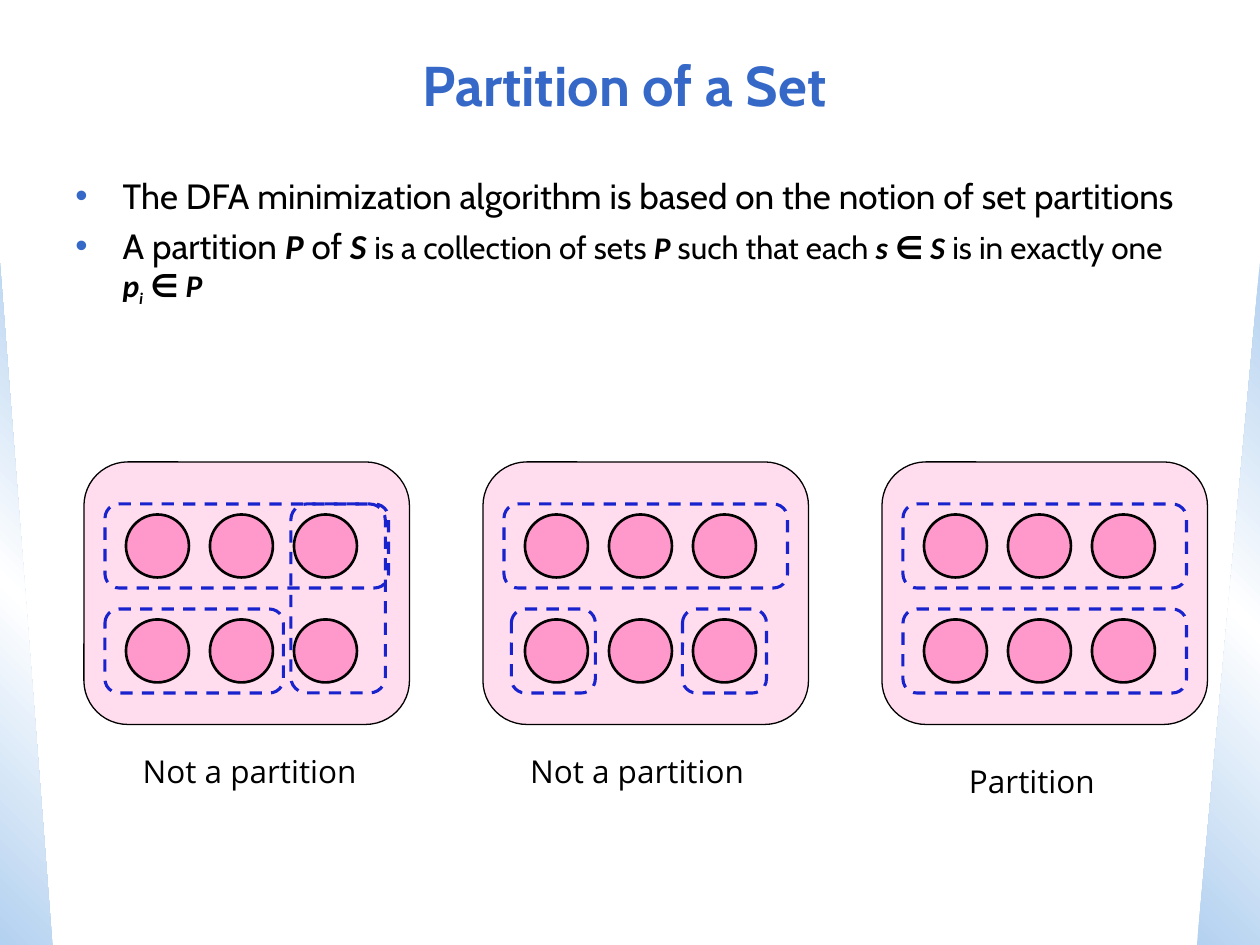
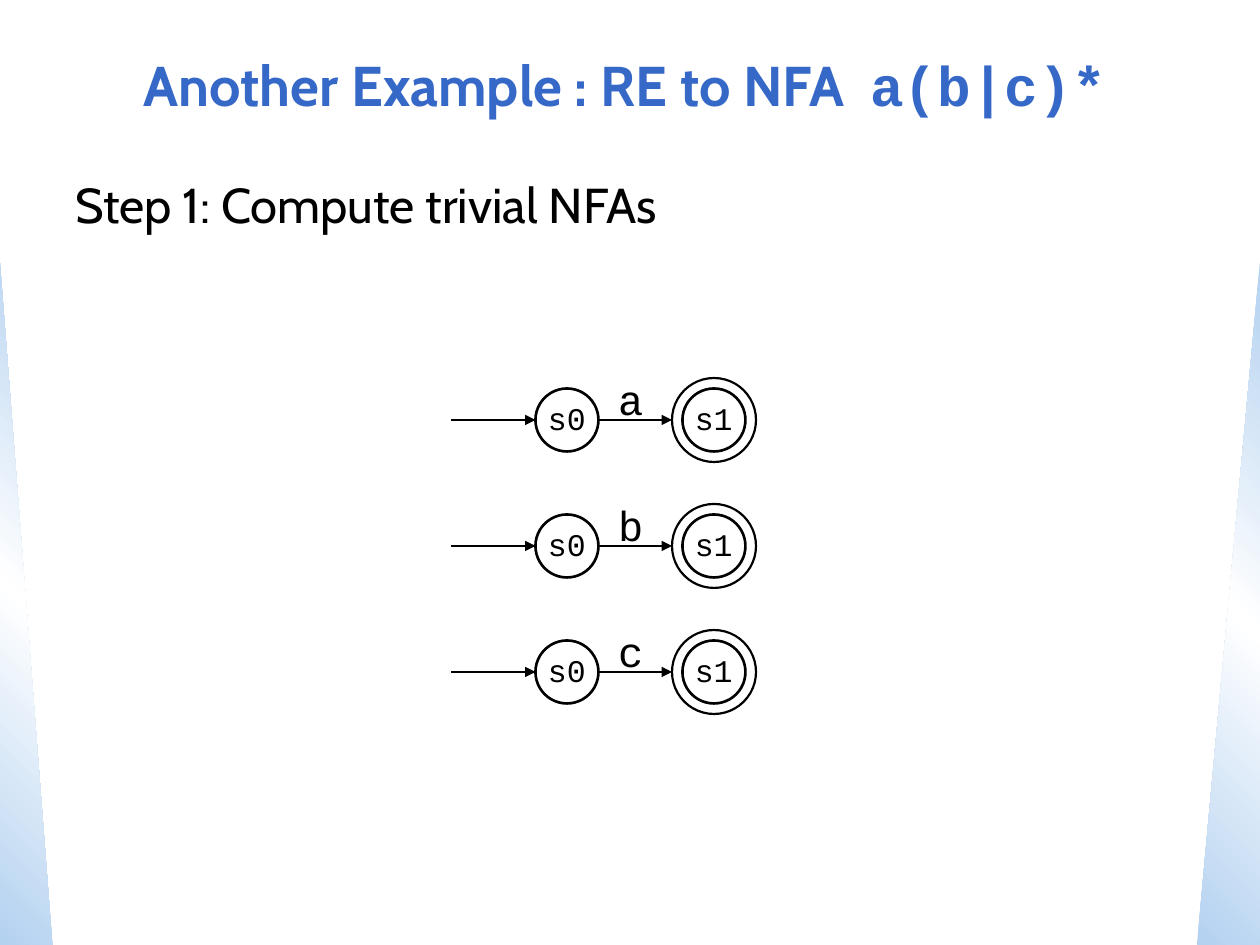
"""Build two slides on set partitions and trivial NFAs."""
from copy import deepcopy

from lxml.etree import SubElement
from pptx import Presentation
from pptx.dml.color import RGBColor
from pptx.enum.dml import MSO_LINE
from pptx.enum.shapes import MSO_CONNECTOR, MSO_SHAPE
from pptx.enum.text import MSO_ANCHOR, MSO_AUTO_SIZE, PP_ALIGN
from pptx.oxml.ns import qn
from pptx.util import Pt

PX = 7620
BLUE, INK, PINK, DASH = "3568C7", "000000", "FF99CC", "1822CD"
SKY, WHITE = "B3D1F0", "FFFFFF"

TITLE = {"name": "Cabin", "size": Pt(32), "bold": True, "color": BLUE}
CODE = {"name": "Courier New", "size": Pt(18)}
LABEL = {"name": "Open Sans", "size": Pt(18)}
BODY = {"name": "Cabin", "size": Pt(20)}
SMALL = {**BODY, "size": Pt(18)}
MATH = {"name": "Calibri", "size": Pt(20), "bold": True, "italic": True}
TERM = {**MATH, "size": Pt(18)}
SUB = {**MATH, "size": Pt(16), "base": -25000}

POINTS = [
    [("The DFA minimization algorithm is based on the notion of set partitions", BODY)],
    [("A partition ", BODY), ("P", MATH), (" of ", BODY), ("S ", MATH),
     ("is a collection of sets ", SMALL), ("P", TERM), (" such that each ", SMALL),
     ("s ∈ S ", TERM), ("is in exactly one ", SMALL), ("p", TERM), ("i", SUB),
     (" ∈ P", TERM)],
]
WIDE = (20, 40, 270, 80)
CARDS = [
    [WIDE, (20, 140, 170, 80), (197, 40, 90, 180)],
    [WIDE, (27, 140, 80, 80), (190, 140, 80, 80)],
    [WIDE, (20, 140, 270, 80)],
]
NOTES = [("Not a partition", 124, 710, 229), ("Not a partition", 493, 710, 229),
         ("Partition", 911, 720, 145)]


def paint(text):
    """Turn a hex string into a colour."""
    return RGBColor.from_string(text)


def scale(*sizes):
    """Turn px into EMU."""
    return [size * PX for size in sizes]


def put_shape(slide, kind, box, fill=None, line=None, width=1, dash=None):
    """Add a preset shape with a fill and a line."""
    shape = slide.shapes.add_shape(kind, *scale(*box))
    shape.shadow.inherit = False
    if fill:
        shape.fill.solid()
        shape.fill.fore_color.rgb = paint(fill)
    else:
        shape.fill.background()
    if line:
        shape.line.color.rgb = paint(line)
        shape.line.width = Pt(width)
        shape.line.dash_style = dash
    else:
        shape.line.fill.background()
    return shape


def put_round(slide, box, **look):
    """Add a rounded box with the shared corner."""
    shape = put_shape(slide, MSO_SHAPE.ROUNDED_RECTANGLE, box, **look)
    shape.adjustments[0] = 0.167
    return shape


def put_disc(slide, box, fill=None, width=1.5):
    """Add a circle with a black line."""
    put_shape(slide, MSO_SHAPE.OVAL, box, fill, INK, width)


def put_runs(para, runs):
    """Write styled runs into a paragraph."""
    for text, style in runs:
        run = para.add_run()
        run.text = text
        look = {"color": INK, **style}
        run.font.color.rgb = paint(look.pop("color"))
        base = look.pop("base", None)
        for key, value in look.items():
            setattr(run.font, key, value)
        if base:
            run._r.get_or_add_rPr().set("baseline", str(base))


def put_text(slide, box, paras, wrap=True, **look):
    """Add a text box holding paragraphs of runs."""
    frame = slide.shapes.add_textbox(*scale(*box)).text_frame
    frame.word_wrap = wrap
    for key, value in look.items():
        setattr(frame, key, value)
    for i, runs in enumerate(paras):
        put_runs(frame.add_paragraph() if i else frame.paragraphs[0], runs)
    return frame


def put_label(slide, box, text, style):
    """Add a short label that fits its text."""
    put_text(slide, box, [[(text, style)]], wrap=False,
             auto_size=MSO_AUTO_SIZE.SHAPE_TO_FIT_TEXT)


def put_arrow(slide, left, right, y):
    """Add a level arrow."""
    line = slide.shapes.add_connector(MSO_CONNECTOR.STRAIGHT, *scale(left, y, right, y))
    line.line.color.rgb = paint(INK)
    line.line.width = Pt(0.75)
    SubElement(line.line._get_or_add_ln(), qn("a:tailEnd"), type="triangle")
    SubElement(line._element.spPr, qn("a:effectLst"))


def add_bullet(para):
    """Give a paragraph a hanging blue bullet."""
    props = para._p.get_or_add_pPr()
    props.set("marL", str(45 * PX))
    props.set("indent", str(-45 * PX))
    tint = SubElement(props, qn("a:buClr"))
    SubElement(tint, qn("a:srgbClr"), val=BLUE)
    SubElement(props, qn("a:buFont"), typeface="Arial")
    SubElement(props, qn("a:buChar"), char="•")


def put_wedge(slide, box, angle, flip=False):
    """Add a side wedge with a sky blend."""
    shape = put_shape(slide, MSO_SHAPE.RIGHT_TRIANGLE, box)
    shape.fill.gradient()
    shape.fill.gradient_angle = 360 - angle
    stops = shape._element.find(".//" + qn("a:gsLst"))
    stops.insert(1, deepcopy(stops[0]))
    for stop, place, tint in zip(shape.fill.gradient_stops, (0, 0.5, 1), (SKY, WHITE, SKY)):
        stop.position = place
        stop.color.rgb = paint(tint)
    if flip:
        shape._element.spPr.xfrm.set("flipH", "1")


def add_slide(deck, title):
    """Add a slide with its wedges and title."""
    slide = deck.slides.add_slide(deck.slide_layouts[6])
    put_wedge(slide, (0, 250, 50, 650), 135)
    put_wedge(slide, (1140, 250, 60, 650), 225, flip=True)
    frame = put_text(slide, (30, 30, 1130, 100), [title], vertical_anchor=MSO_ANCHOR.MIDDLE)
    frame.paragraphs[0].alignment = PP_ALIGN.CENTER
    return slide


def put_card(slide, left, top, groups):
    """Add a set of six items and its dashed groups."""
    card = put_round(slide, (left, top, 310, 250), fill=PINK, line=INK, width=0.75)
    tint = card._element.spPr.find(".//" + qn("a:srgbClr"))
    SubElement(tint, qn("a:alpha"), val="33000")
    for row in range(2):
        for col in range(3):
            put_disc(slide, (left + 40 + 80 * col, top + 50 + 100 * row, 60, 60), PINK)
    for x, y, wide, high in groups:
        put_round(slide, (left + x, top + y, wide, high), line=DASH, width=1.75,
                  dash=MSO_LINE.DASH)


def put_nfa(slide, mid, sign):
    """Add a two-state NFA that reads one sign."""
    for name, left in (("s0", 510), ("s1", 650)):
        put_disc(slide, (left, mid - 30, 60, 60))
        put_label(slide, (left, mid - 26, 60, 48), name, CODE)
    put_disc(slide, (640, mid - 40, 80, 80), width=1.25)
    put_arrow(slide, 430, 510, mid)
    put_arrow(slide, 570, 640, mid)
    put_label(slide, (577, mid - 50, 48, 60), sign, {**CODE, "size": Pt(24)})


def main():
    """Build and save the deck."""
    deck = Presentation()
    deck.slide_width, deck.slide_height = scale(1200, 900)
    area = (60, 160, 1080, 670)

    slide = add_slide(deck, [("Partition of a Set", TITLE)])
    frame = put_text(slide, area, POINTS)
    for para in frame.paragraphs:
        add_bullet(para)
    frame.paragraphs[1].space_before = Pt(4.5)
    for i, groups in enumerate(CARDS):
        put_card(slide, 80 + 380 * i, 440, groups)
    for text, left, top, wide in NOTES:
        put_label(slide, (left, top, wide, 48), text, LABEL)

    slide = add_slide(deck, [("Another Example : RE to NFA  ", TITLE),
                             ("a(b|c)*", {**TITLE, "name": "Courier New"})])
    put_text(slide, area, [[("Step 1: Compute trivial NFAs", {**BODY, "size": Pt(28)})]])
    for i, sign in enumerate("abc"):
        put_nfa(slide, 400 + 120 * i, sign)

    deck.save("out.pptx")


if __name__ == "__main__":
    main()
